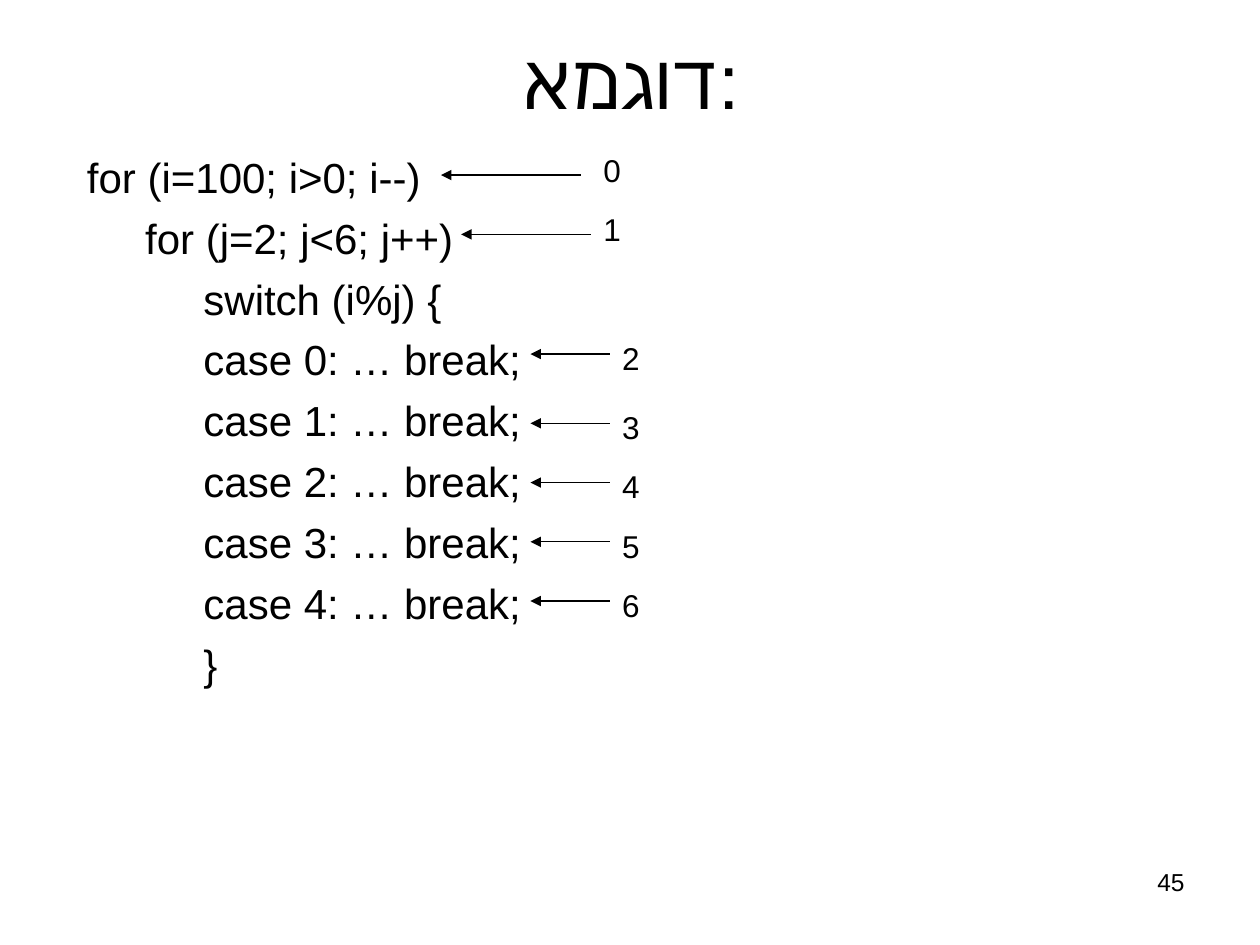
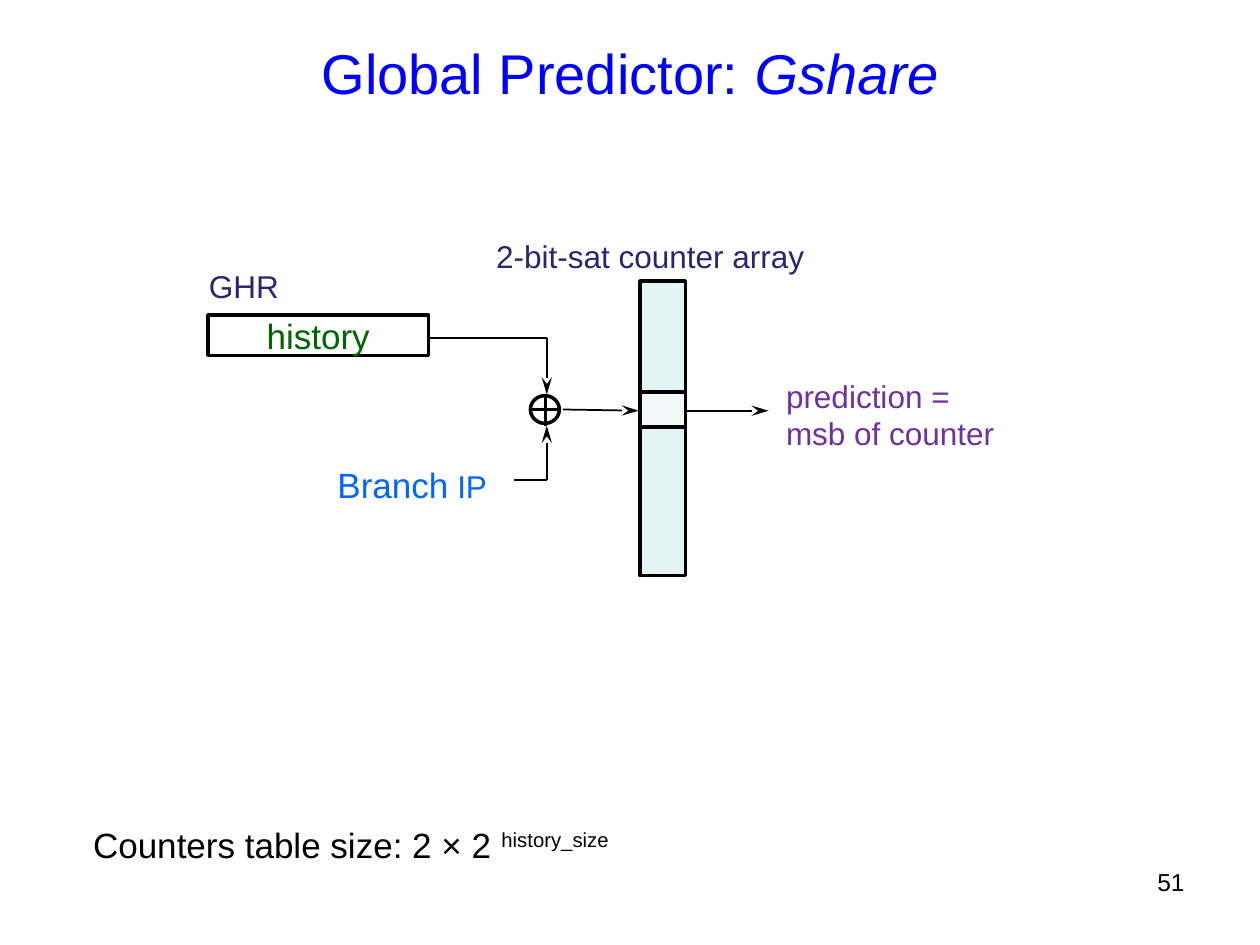
from dataclasses import dataclass
from typing import NamedTuple

from lxml.etree import SubElement
from pptx import Presentation
from pptx.dml.color import RGBColor
from pptx.enum.shapes import MSO_CONNECTOR as LINE, MSO_SHAPE as SHAPE
from pptx.enum.text import MSO_ANCHOR as ANCHOR, MSO_AUTO_SIZE as FIT, PP_ALIGN as ALIGN
from pptx.oxml.ns import qn
from pptx.util import Emu, Inches, Pt

# Shared look; every position is in cells of a 100 x 75 grid
FONT = "Arial"
COLORS = {
    "text": "000000", "title": "0000FF", "branch": "0066FF", "history": "006600",
    "prediction": "7030A0", "label": "262673",
    "paper": "FFFFFF", "array": "E4F3F4", "entry": "F1F9F9",
}
SLIDE_W, SLIDE_H = Inches(10), Inches(7.5)
CELL = SLIDE_W / 100


class Box(NamedTuple):
    left: float
    top: float
    width: float
    height: float


class Run(NamedTuple):
    text: str
    size: float
    italic: bool = False
    baseline: int = 0


@dataclass
class Label:
    box: Box
    paragraphs: list[list[Run]]
    color: str = "text"
    align: ALIGN = ALIGN.LEFT
    wrap: bool = False
    spacing: float = 1.0


@dataclass
class Block:
    kind: SHAPE
    box: Box
    fill: str | None = None


@dataclass
class Line:
    start: tuple[float, float]
    end: tuple[float, float]
    width: float = 1
    arrow: str | None = None


def cells(*values: float) -> list[Emu]:
    return [Emu(round(v * CELL)) for v in values]


def rgb(name: str) -> RGBColor:
    return RGBColor.from_string(COLORS[name])


def write(p, runs: list[Run], color: str) -> None:
    for run in runs:
        r = p.add_run()
        r.text = run.text
        r.font.name, r.font.size = FONT, Pt(run.size)
        r.font.color.rgb = rgb(color)
        if run.italic:
            r.font.italic = True
        if run.baseline:
            r._r.get_or_add_rPr().set("baseline", str(run.baseline * 1000))


def fill_text(tf, paragraphs: list[list[Run]], color: str, align: ALIGN) -> None:
    for i, runs in enumerate(paragraphs):
        p = tf.add_paragraph() if i else tf.paragraphs[0]
        p.alignment = align
        write(p, runs, color)


def place(sp, box: Box) -> None:
    sp.left, sp.top, sp.width, sp.height = cells(*box)
    sp.text_frame.auto_size = FIT.NONE


def add_label(shapes, label: Label) -> None:
    tf = shapes.add_textbox(*cells(*label.box)).text_frame
    tf.word_wrap = label.wrap
    fill_text(tf, label.paragraphs, label.color, label.align)
    for p in tf.paragraphs:
        p.line_spacing = label.spacing


def add_block(shapes, block: Block):
    sp = shapes.add_shape(block.kind, *cells(*block.box))
    sp.shadow.inherit = False
    sp.line.color.rgb, sp.line.width = rgb("text"), Pt(2)
    if block.fill:
        sp.fill.solid()
        sp.fill.fore_color.rgb = rgb(block.fill)
    else:
        sp.fill.background()
    return sp


def add_line(shapes, line: Line) -> None:
    c = shapes.add_connector(LINE.STRAIGHT, *cells(*line.start, *line.end))
    c.line.color.rgb, c.line.width = rgb("text"), Pt(line.width)
    if line.arrow:
        length = "lg" if line.arrow == "stealth" else "med"
        SubElement(c.line._get_or_add_ln(), qn("a:tailEnd"),
                   type=line.arrow, w="med", len=length)
    SubElement(c._element.spPr, qn("a:effectLst"))


def new_slide(prs, layout: int, title: list[Run], box: Box, color: str, number: int):
    s = prs.slides.add_slide(prs.slide_layouts[layout])
    place(s.shapes.title, box)
    tf = s.shapes.title.text_frame
    tf.vertical_anchor = ANCHOR.MIDDLE
    fill_text(tf, [title], color, ALIGN.CENTER)
    add_label(s.shapes, Label(Box(71.7, 68.3, 23.3, 5.2), [[Run(str(number), 14)]],
                              align=ALIGN.RIGHT, wrap=True))
    return s


# Slide 1: nested loops with numbered branches
CODE = [
    (0, "for (i=100; i>0; i--)"),
    (1, "for (j=2; j<6; j++)"),
    (2, "switch (i%j) {"),
    *((2, f"case {n}: … break;") for n in range(5)),
    (2, "}"),
]


class Branch(NamedTuple):
    row: float
    tip: float
    tail: float
    label_left: float
    label_rise: float


BRANCHES = [
    Branch(13.9, 35, 46.1, 46.9, 2.4),
    Branch(18.6, 36.6, 46.9, 46.9, 2.4),
    *(Branch(row, 42.1, 48.4, 48.4, 1.7) for row in (28.1, 33.6, 38.3, 43, 47.7)),
]


def build_example(prs) -> None:
    s = new_slide(prs, 1, [Run("דוגמא:", 44)], Box(5.1, 0, 90, 12.5), "text", 45)
    body = s.placeholders[1]
    place(body, Box(5.9, 11.5, 90, 49.5))
    lines = [[Run(" " * 5 * depth + code, 24)] for depth, code in CODE]
    fill_text(body.text_frame, lines, "text", ALIGN.LEFT)
    for i, p in enumerate(body.text_frame.paragraphs):
        p.space_before = Pt(6 if i else 0)
        pPr = p._p.get_or_add_pPr()
        pPr.set("marL", str(Inches(0.38)))
        pPr.set("indent", str(-Inches(0.38)))
        SubElement(pPr, qn("a:buNone"))
    for n, b in enumerate(BRANCHES):
        add_line(s.shapes, Line((b.tail, b.row), (b.tip, b.row), 0.75, "triangle"))
        add_label(s.shapes, Label(Box(b.label_left, b.row - b.label_rise, 6.3, 4),
                                  [[Run(str(n), 18)]], wrap=True))


# Slide 2: history and branch address are combined to index the counters
HISTORY = Block(SHAPE.RECTANGLE, Box(16.5, 25, 17.5, 3.2), "paper")
BLOCKS = [
    Block(SHAPE.OVAL, Box(42.1, 31.4, 2.3, 2.2)),
    Block(SHAPE.RECTANGLE, Box(50.8, 22.3, 3.6, 23.4), "array"),
    Block(SHAPE.RECTANGLE, Box(50.8, 31.1, 3.6, 2.8), "entry"),
]
LINES = [
    Line((43.3, 31.4), (43.3, 33.8), 2),
    Line((44.4, 32.5), (42.1, 32.5), 2),
    Line((34, 26.8), (43.4, 26.8)),
    Line((43.4, 26.8), (43.4, 31.3), arrow="stealth"),
    Line((40.8, 38.1), (43.4, 38.1)),
    Line((43.4, 38.1), (43.4, 33.8), arrow="stealth"),
    Line((44.7, 32.5), (50.7, 32.6), arrow="stealth"),
    Line((54.5, 32.6), (61, 32.6), arrow="stealth"),
]
LABELS = [
    Label(Box(25.8, 36.3, 15, 4.4), [[Run("Branch", 20), Run(" IP", 18)]],
          "branch", wrap=True),
    Label(Box(61.4, 29.4, 18.7, 7.1),
          [[Run("prediction =", 18)], [Run("msb of counter", 18)]], "prediction"),
    Label(Box(38.4, 18.3, 28.7, 4), [[Run("2-bit-sat counter array", 18)]], "label"),
    Label(Box(15.6, 20.7, 7.6, 4), [[Run("GHR", 18)]], "label"),
]
TABLE_SIZE = Label(
    Box(6.4, 64.2, 89.4, 4.7),
    [[Run("Counters table size: 2 × 2 ", 20), Run("history_size", 20, baseline=30)]],
    wrap=True, spacing=1.2)


def build_gshare(prs) -> None:
    title = [Run("Global Predictor: ", 32), Run("Gshare", 32, italic=True)]
    s = new_slide(prs, 5, title, Box(5, 3, 90, 5.4), "title", 51)
    figure = s.shapes.add_group_shape().shapes
    tf = add_block(figure, HISTORY).text_frame
    tf.margin_left = tf.margin_right = tf.margin_top = tf.margin_bottom = 0
    tf.vertical_anchor = ANCHOR.MIDDLE
    fill_text(tf, [[Run("history", 20)]], "history", ALIGN.CENTER)
    for block in BLOCKS:
        add_block(figure, block)
    for line in LINES:
        add_line(figure, line)
    for label in LABELS:
        add_label(figure, label)
    add_label(s.shapes, TABLE_SIZE)


def main() -> None:
    prs = Presentation()
    prs.slide_width, prs.slide_height = SLIDE_W, SLIDE_H
    build_example(prs)
    build_gshare(prs)
    prs.save("out.pptx")


if __name__ == "__main__":
    main()
